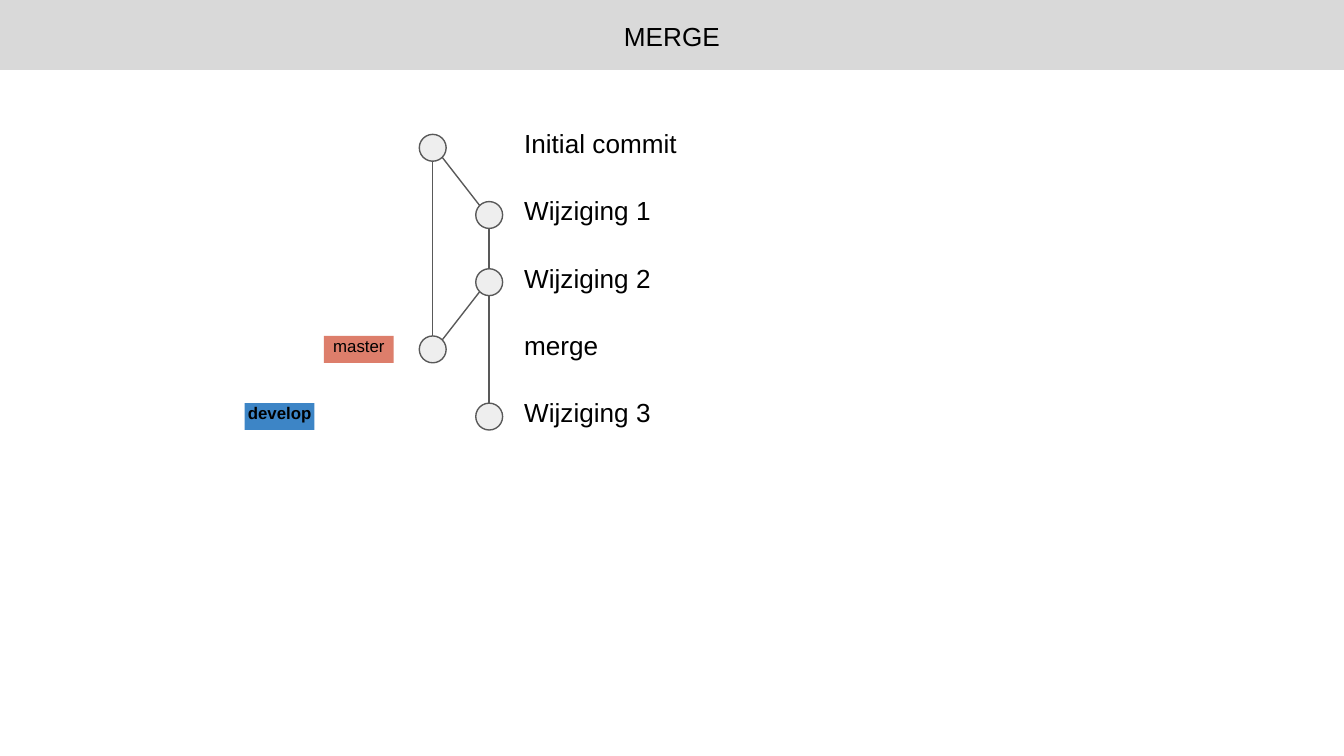
from lxml.etree import SubElement
from pptx import Presentation
from pptx.dml.color import RGBColor
from pptx.enum.shapes import MSO_CONNECTOR, MSO_SHAPE
from pptx.enum.text import MSO_ANCHOR, MSO_AUTO_SIZE, PP_ALIGN
from pptx.oxml.ns import qn
from pptx.util import Emu, Pt

TITLE = "MERGE"
COMMITS = [
    ("Initial commit", "master"),
    ("Wijziging 1", "develop"),
    ("Wijziging 2", "develop"),
    ("merge", "master"),
    ("Wijziging 3", "develop"),
]
LINKS = [(0, 1), (1, 2), (0, 3), (2, 3), (2, 4)]
BRANCH_TAGS = [
    ("master", 3, 482, "DD7E6B", False),
    ("develop", 4, 364, "3D85C6", True),
]
BRANCH_X = {"master": 644, "develop": 728}

PX = 4572
SLIDE_WIDTH, SLIDE_HEIGHT = 2000, 1125
TITLE_HEIGHT = 104
FIRST_Y, ROW_GAP = 220, 100
RADIUS, DIAGONAL = 20, 14
MESSAGE_X, MESSAGE_RISE, MESSAGE_SIZE = 780, 30, (240, 60)
TAG_SIZE = (104, 40)
LINE_COLOR, NODE_COLOR, BAR_COLOR = "595959", "EEEEEE", "D9D9D9"


def px(*lengths):
    return [Emu(length * PX) for length in lengths]


def color(value):
    return RGBColor.from_string(value)


def fill(shape, value):
    shape.fill.solid()
    shape.fill.fore_color.rgb = color(value)


def outline(shape):
    shape.line.color.rgb = color(LINE_COLOR)
    shape.line.width = Pt(0.75)


def write(shape, text, size, align=PP_ALIGN.LEFT, bold=False, insets=(0, 0, 0, 0)):
    frame = shape.text_frame
    frame.word_wrap = True
    frame.auto_size = MSO_AUTO_SIZE.NONE
    frame.vertical_anchor = MSO_ANCHOR.TOP
    frame.margin_left, frame.margin_top, frame.margin_right, frame.margin_bottom = px(*insets)
    paragraph = frame.paragraphs[0]
    paragraph.alignment = align
    run = paragraph.add_run()
    run.text = text
    run.font.name = "Arial"
    run.font.size = Pt(size)
    run.font.bold = bold
    run.font.color.rgb = color("000000")


def add_filled_shape(slide, kind, box, value):
    shape = slide.shapes.add_shape(kind, *px(*box))
    shape.shadow.inherit = False
    fill(shape, value)
    return shape


def node_center(index):
    return BRANCH_X[COMMITS[index][1]], FIRST_Y + index * ROW_GAP


def add_link(slide, parent, child):
    (x1, y1), (x2, y2) = node_center(parent), node_center(child)
    side = (x2 > x1) - (x2 < x1)
    dx, dy = side * DIAGONAL, DIAGONAL if side else RADIUS
    ends = px(x1 + dx, y1 + dy, x2 - dx, y2 - dy)
    connector = slide.shapes.add_connector(MSO_CONNECTOR.STRAIGHT, *ends)
    outline(connector)
    SubElement(connector._element.spPr, qn("a:effectLst"))


def main():
    """Build the slide with a commit graph that shows a merge."""
    presentation = Presentation()
    presentation.slide_width, presentation.slide_height = px(SLIDE_WIDTH, SLIDE_HEIGHT)
    slide = presentation.slides.add_slide(presentation.slide_layouts[5])

    title = slide.shapes.title
    title.left, title.top, title.width, title.height = px(0, 0, SLIDE_WIDTH, TITLE_HEIGHT)
    fill(title, BAR_COLOR)
    write(title, TITLE, 14, PP_ALIGN.CENTER, insets=(20, 30, 20, 20))

    for index, (message, _) in enumerate(COMMITS):
        x, y = node_center(index)
        box = (x - RADIUS, y - RADIUS, 2 * RADIUS, 2 * RADIUS)
        outline(add_filled_shape(slide, MSO_SHAPE.OVAL, box, NODE_COLOR))
        message_box = px(MESSAGE_X, y - MESSAGE_RISE, *MESSAGE_SIZE)
        write(slide.shapes.add_textbox(*message_box), message, 14)

    for parent, child in LINKS:
        add_link(slide, parent, child)

    for name, index, left, value, bold in BRANCH_TAGS:
        box = (left, node_center(index)[1] - RADIUS, *TAG_SIZE)
        tag = add_filled_shape(slide, MSO_SHAPE.RECTANGLE, box, value)
        tag.line.fill.background()
        write(tag, name, 9, PP_ALIGN.CENTER, bold)

    presentation.save("out.pptx")


if __name__ == "__main__":
    main()
